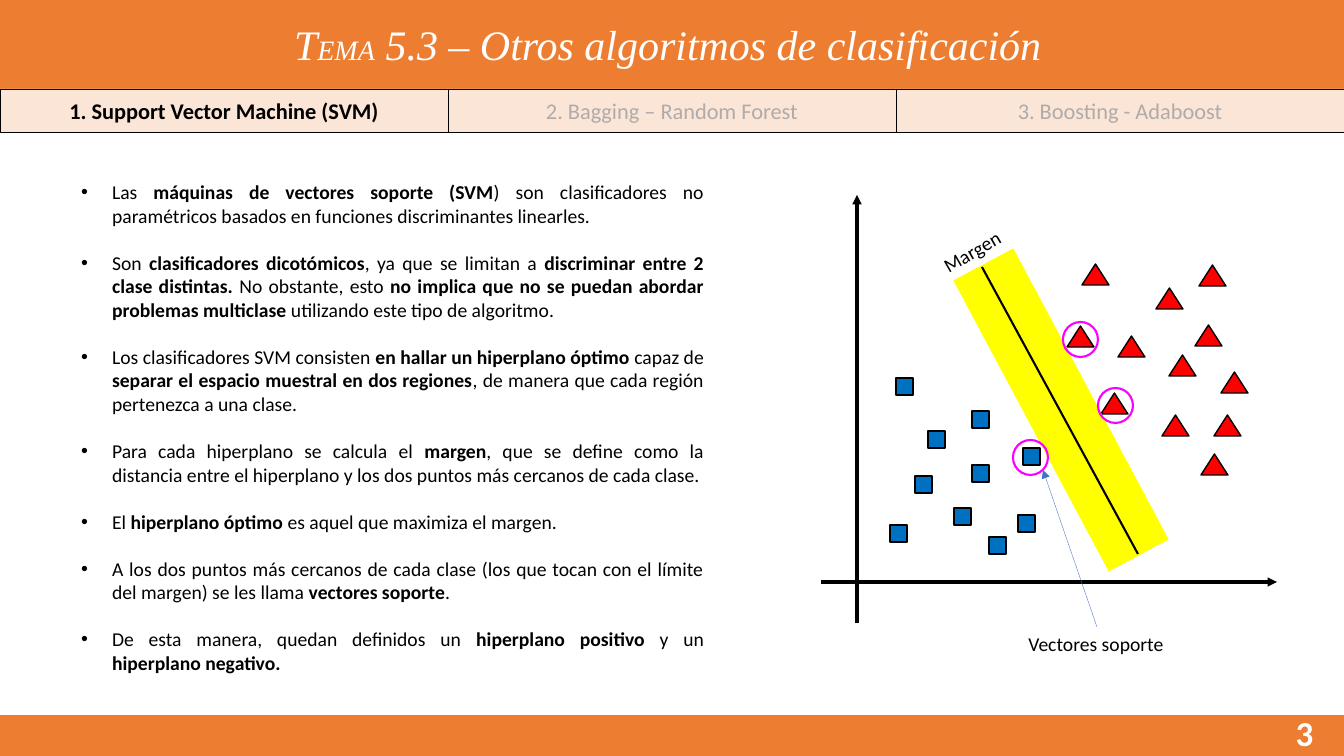
import dataclasses

import lxml.etree
import pptx
import pptx.dml.color
import pptx.enum.shapes
import pptx.enum.text
import pptx.oxml.ns
import pptx.util

SHAPE = pptx.enum.shapes.MSO_SHAPE
ALIGN = pptx.enum.text.PP_ALIGN
ANCHOR = pptx.enum.text.MSO_ANCHOR
WIDTH, HEIGHT = 1344, 756
ORANGE, PEACH, BLACK, WHITE, GREY = "ED7D31", "FBE5D6", "000000", "FFFFFF", "AFABAB"


@dataclasses.dataclass(frozen=True)
class Box:
    x: int
    y: int
    w: int
    h: int


@dataclasses.dataclass(frozen=True)
class Marks:
    """A class of points: one preset shape repeated at several places."""
    kind: int
    w: int
    h: int
    fill: str
    line: str
    weight: float
    places: tuple[tuple[int, int], ...]


@dataclasses.dataclass(frozen=True)
class Line:
    start: tuple[int, int]
    end: tuple[int, int]
    color: str
    weight: float
    arrow: bool = True


TITLE = (("T", 30), ("EMA", 20), (" 5.3 – Otros algoritmos de clasificación", 30))
TABS = ("1. Support Vector Machine (SVM)", "2. Bagging – Random Forest", "3. Boosting - Adaboost")
# Bold passages stand between double asterisks.
POINTS = (
    "Las **máquinas de vectores soporte (SVM**) son clasificadores no paramétricos basados en "
    "funciones discriminantes linearles.",
    "Son **clasificadores dicotómicos**, ya que se limitan a **discriminar entre 2 clase distintas.** "
    "No obstante, esto **no implica que no se puedan abordar problemas multiclase **"
    "utilizando este tipo de algoritmo.",
    "Los clasificadores SVM consisten **en hallar un hiperplano óptimo **capaz de **separar el espacio "
    "muestral en dos regiones**, de manera que cada región pertenezca a una clase.",
    "Para cada hiperplano se calcula el **margen**, que se define como la distancia entre el hiperplano "
    "y los dos puntos más cercanos de cada clase.",
    "El **hiperplano óptimo **es aquel que maximiza el margen.",
    "A los dos puntos más cercanos de cada clase (los que tocan con el límite del margen) se les llama "
    "**vectores soporte**.",
    "De esta manera, quedan definidos un **hiperplano positivo **y un **hiperplano negativo.**",
)
SQUARES = Marks(SHAPE.RECTANGLE, 17, 17, "0070C0", BLACK, 1, (
    (896, 378), (1023, 448), (928, 431), (915, 476), (890, 525),
    (972, 411), (954, 508), (972, 465), (1018, 515), (989, 537)))
TRIANGLES = Marks(SHAPE.ISOSCELES_TRIANGLE, 27, 21, "FF0000", BLACK, 1, (
    (1082, 264), (1101, 393), (1067, 326), (1118, 336), (1156, 288), (1195, 325),
    (1169, 355), (1162, 415), (1221, 372), (1214, 415), (1201, 454), (1199, 265)))
SUPPORT_RINGS = Marks(SHAPE.OVAL, 35, 35, "", "F901FF", 1.5, ((1063, 322), (1098, 388), (1013, 440)))
AXES = (Line((857, 623), (857, 195), BLACK, 2.25), Line((821, 582), (1277, 582), BLACK, 2.25))
HYPERPLANE = Line((982, 267), (1138, 554), BLACK, 1.5, arrow=False)
SUPPORT_POINTER = Line((1097, 627), (1043, 470), "4472C4", 0.25)


def px(n: int) -> pptx.util.Emu:
    return pptx.util.Emu(round(n * 914400 / 100.8))


def rgb(color: str) -> pptx.dml.color.RGBColor:
    return pptx.dml.color.RGBColor.from_string(color)


def place(sp, box: Box) -> None:
    sp.left, sp.top, sp.width, sp.height = px(box.x), px(box.y), px(box.w), px(box.h)


def set_font(r, size: float, color: str, name: str = "Calibri", bold: bool = False, italic: bool = False) -> None:
    font = r.font
    font.size, font.name, font.bold, font.italic = pptx.util.Pt(size), name, bold, italic
    font.color.rgb = rgb(color)


def set_frame(tf, anchor=ANCHOR.TOP) -> None:
    tf.word_wrap = True
    tf.auto_size = pptx.enum.text.MSO_AUTO_SIZE.NONE
    tf.vertical_anchor = anchor


def set_text(sp, text: str, size: float, color: str, align=ALIGN.CENTER, bold: bool = False,
             anchor=ANCHOR.TOP) -> None:
    tf = sp.text_frame
    set_frame(tf, anchor)
    tf.text = text
    p = tf.paragraphs[0]
    p.alignment = align
    set_font(p.runs[0], size, color, bold=bold)


def add_shape(s, kind: int, box: Box, fill: str, line: str = "", weight: float = 1):
    """Draw a preset shape; an empty colour means no fill or no line."""
    sp = s.shapes.add_shape(kind, px(box.x), px(box.y), px(box.w), px(box.h))
    sp.shadow.inherit = False
    for part, color in ((sp.fill, fill), (sp.line.fill, line)):
        if color:
            part.solid()
            part.fore_color.rgb = rgb(color)
        else:
            part.background()
    if line:
        sp.line.width = pptx.util.Pt(weight)
    return sp


def add_marks(s, marks: Marks) -> None:
    for x, y in marks.places:
        add_shape(s, marks.kind, Box(x, y, marks.w, marks.h), marks.fill, marks.line, marks.weight)


def add_line(s, line: Line) -> None:
    cn = s.shapes.add_connector(pptx.enum.shapes.MSO_CONNECTOR.STRAIGHT,
                                *map(px, line.start + line.end))
    cn.line.color.rgb = rgb(line.color)
    cn.line.width = pptx.util.Pt(line.weight)
    spPr = cn.element.spPr
    if line.arrow:
        ln = spPr.find(pptx.oxml.ns.qn("a:ln"))
        lxml.etree.SubElement(ln, pptx.oxml.ns.qn("a:tailEnd"), type="triangle")
    lxml.etree.SubElement(spPr, pptx.oxml.ns.qn("a:effectLst"))


def add_label(s, box: Box, text: str, size: float, color: str, align=ALIGN.CENTER, bold: bool = False):
    sp = s.shapes.add_textbox(px(box.x), px(box.y), px(box.w), px(box.h))
    set_text(sp, text, size, color, align, bold)
    return sp


def fill_title(sp) -> None:
    place(sp, Box(71, 13, 1194, 61))
    set_frame(sp.text_frame, ANCHOR.MIDDLE)
    p = sp.text_frame.paragraphs[0]
    p.alignment = ALIGN.CENTER
    for text, size in TITLE:
        r = p.add_run()
        r.text = text
        set_font(r, size, WHITE, "Times New Roman", italic=True)


def fill_points(sp) -> None:
    place(sp, Box(71, 175, 643, 532))
    tf = sp.text_frame
    set_frame(tf)
    for i, point in enumerate(POINTS):
        p = tf.add_paragraph() if i else tf.paragraphs[0]
        p.alignment = ALIGN.JUSTIFY
        p.line_spacing = 1.0
        p.space_before = pptx.util.Pt(16.8 if i else 0)
        p.space_after = pptx.util.Pt(0)
        pPr = p._p.get_or_add_pPr()
        pPr.set("marL", str(px(31)))
        pPr.set("indent", str(-px(31)))
        lxml.etree.SubElement(pPr, pptx.oxml.ns.qn("a:buFont"), typeface="Arial")
        lxml.etree.SubElement(pPr, pptx.oxml.ns.qn("a:buChar"), char="•")
        for j, text in enumerate(point.split("**")):
            if text:
                r = p.add_run()
                r.text = text
                set_font(r, 14, BLACK, bold=j % 2 == 1)


def add_tabs(s) -> None:
    w = WIDTH // len(TABS)
    for i, text in enumerate(TABS):
        sp = add_shape(s, SHAPE.RECTANGLE, Box(i * w, 89, w, 43), PEACH, BLACK, 0.5)
        current = i == 0
        set_text(sp, text, 16, BLACK if current else GREY, bold=current, anchor=ANCHOR.MIDDLE)


def add_svm_diagram(s) -> None:
    for axis in AXES:
        add_line(s, axis)
    add_marks(s, SQUARES)
    add_marks(s, TRIANGLES)
    margin = add_shape(s, SHAPE.RECTANGLE, Box(896, 376, 330, 68), "FFFF00")
    margin.rotation = 61.9
    add_line(s, HYPERPLANE)
    add_marks(s, SUPPORT_RINGS)
    add_label(s, Box(1002, 627, 188, 34), "Vectores soporte", 14, BLACK)
    add_label(s, Box(924, 208, 188, 34), "Margen", 14, BLACK, ALIGN.LEFT).rotation = 330.1
    add_line(s, SUPPORT_POINTER)


def main() -> None:
    prs = pptx.Presentation()
    prs.slide_width, prs.slide_height = px(WIDTH), px(HEIGHT)
    s = prs.slides.add_slide(prs.slide_layouts[1])
    title, body = s.placeholders
    banner = add_shape(s, SHAPE.RECTANGLE, Box(0, 0, WIDTH, 88), ORANGE, ORANGE)
    title.element.addprevious(banner.element)
    fill_title(title)
    fill_points(body)
    add_shape(s, SHAPE.RECTANGLE, Box(0, 716, WIDTH, 40), ORANGE, ORANGE)
    add_label(s, Box(1265, 707, 79, 49), "3", 25, WHITE, bold=True)
    add_svm_diagram(s)
    add_tabs(s)
    prs.save("out.pptx")


if __name__ == "__main__":
    main()
